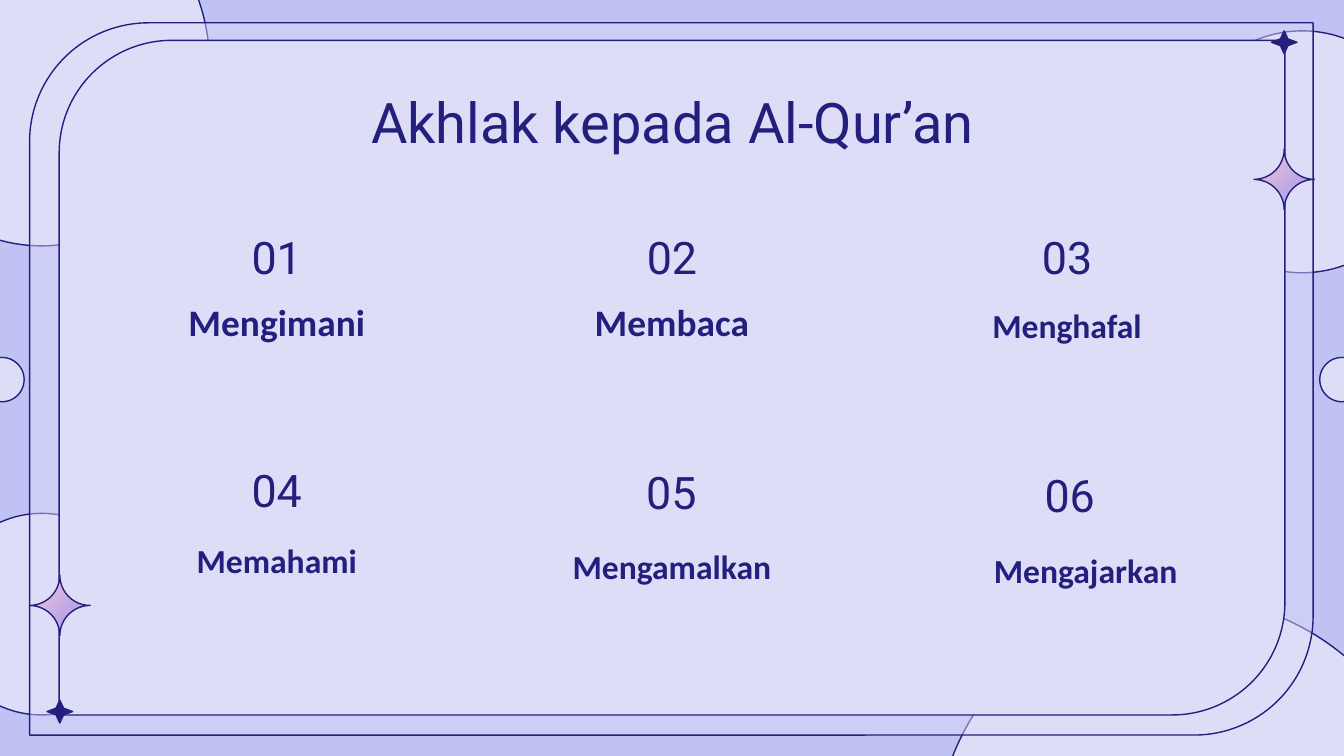
from lxml import etree
from pptx import Presentation
from pptx.dml.color import RGBColor
from pptx.enum.shapes import MSO_SHAPE
from pptx.enum.text import MSO_ANCHOR, MSO_AUTO_SIZE, PP_ALIGN
from pptx.oxml.ns import qn
from pptx.util import Inches, Pt

NAVY = RGBColor(0x23, 0x1F, 0x7C)
PALE = RGBColor(0xDE, 0xDD, 0xF8)
LILAC = RGBColor(0xC0, 0xC2, 0xF4)
PINK = RGBColor(0xF8, 0xC7, 0xD5)
VIOLET = RGBColor(0x99, 0x95, 0xEF)

OVAL = MSO_SHAPE.OVAL
FRAME = MSO_SHAPE.ROUND_2_DIAG_RECTANGLE
PLAQUE = MSO_SHAPE.PLAQUE
STAR = MSO_SHAPE.STAR_4_POINT
TOP, BOTTOM = MSO_ANCHOR.TOP, MSO_ANCHOR.BOTTOM
CENTER, RIGHT = PP_ALIGN.CENTER, PP_ALIGN.RIGHT
FIXED = MSO_AUTO_SIZE.NONE

HEAD, BODY = "Roboto", "Calibri"


class Deck:
    def __init__(self, width, height):
        self.prs = Presentation()
        self.prs.slide_width = Inches(width)
        self.prs.slide_height = Inches(height)
        self.slide = self.prs.slides.add_slide(self.prs.slide_layouts[5])
        fill = self.slide.background.fill
        fill.solid()
        fill.fore_color.rgb = LILAC

    def shape(self, kind, box, color=PALE, adjust=()):
        item = self.slide.shapes.add_shape(kind, *map(Inches, box))
        item.shadow.inherit = False
        item.fill.solid()
        item.fill.fore_color.rgb = color
        item.line.color.rgb = NAVY
        item.line.width = Pt(0.75)
        for i, value in enumerate(adjust):
            item.adjustments[i] = value
        return item

    def frame(self, box, alpha=100):
        item = self.shape(FRAME, box, adjust=(0.167, 0))
        if alpha < 100:
            color = item.fill._xPr.find(qn("a:solidFill"))[0]
            etree.SubElement(color, qn("a:alpha"), val=str(alpha * 1000))

    def spark(self, left, top):
        fill = self.shape(PLAQUE, (left, top, 0.45, 0.45), adjust=(0.5,)).fill
        fill.gradient()
        fill.gradient_angle = 315
        for stop, color, place in zip(fill.gradient_stops, (PINK, VIOLET), (0, 1)):
            stop.color.rgb = color
            stop.position = place

    def star(self, left, top):
        self.shape(STAR, (left, top, 0.19, 0.17), NAVY, (0.209,))

    def style(self, item, text, size, font, bold, anchor, align, inset):
        frame = item.text_frame
        frame.text = text
        frame.word_wrap = True
        frame.auto_size = FIXED
        frame.vertical_anchor = anchor
        frame.margin_left = frame.margin_right = Inches(0.1)
        frame.margin_top = frame.margin_bottom = Inches(inset)
        para = frame.paragraphs[0]
        para.alignment = align
        para.font.size = Pt(size)
        para.font.name = font
        para.font.bold = bold
        para.font.color.rgb = NAVY

    def title(self, text, box):
        item = self.slide.shapes.title
        item.left, item.top, item.width, item.height = map(Inches, box)
        self.style(item, text, 30, HEAD, False, TOP, CENTER, 0.1)
        self.slide.shapes._spTree.append(item._element)

    def number(self, text, box, anchor=BOTTOM, inset=0.1):
        item = self.slide.shapes.add_textbox(*map(Inches, box))
        self.style(item, text, 24, HEAD, False, anchor, CENTER, inset)

    def word(self, text, box, size=18, anchor=BOTTOM, align=CENTER, inset=0.1):
        item = self.slide.shapes.add_textbox(*map(Inches, box))
        self.style(item, text, size, BODY, True, anchor, align, inset)


def main():
    deck = Deck(10, 10 * 9 / 16)

    for box in (
        (-0.94, -0.87, 2.5, 2.7),
        (8.79, 0.23, 1.8, 1.8),
        (6.96, 4.45, 3.71, 3.71),
        (-0.44, 3.82, 1.5, 1.5),
        (9.82, 2.66, 0.33, 0.33),
        (-0.15, 2.66, 0.33, 0.33),
    ):
        deck.shape(OVAL, box)
    deck.frame((0.22, 0.17, 9.55, 5.3), 45)
    deck.frame((0.44, 0.3, 9.12, 5.02))

    deck.title("Akhlak kepada Al-Qur’an", (0.79, 0.55, 8.43, 0.63))

    mids = [2.06 + 2.94 * i for i in range(3)]
    for text, mid, top in (
        ("01", mids[0], 1.56),
        ("02", mids[1], 1.56),
        ("03", mids[2], 1.56),
        ("04", mids[0], 3.29),
        ("06", mids[2] + 0.02, 3.33),
    ):
        deck.number(text, (mid - 0.5, top, 1, 0.65))
    deck.number("05", (2.09, 3.41, 5.81, 0.5), TOP, 0.05)

    for text, mid, top, size in (
        ("Mengimani", mids[0], 2.13, 20),
        ("Membaca", mids[1], 2.13, 20),
        ("Menghafal", mids[2], 2.14, 18),
        ("Memahami", mids[0], 3.89, 18),
        ("Mengamalkan", mids[1], 3.93, 18),
    ):
        deck.word(text, (mid - 1.28, top, 2.56, 0.53), size)
    deck.word("Mengajarkan", (7.05, 4.04, 1.81, 0.4), 18, TOP, RIGHT, 0.05)

    deck.spark(0.22, 4.28)
    deck.star(0.35, 5.21)
    deck.star(9.46, 0.23)
    deck.spark(9.33, 1.11)

    deck.prs.save("out.pptx")


if __name__ == "__main__":
    main()
